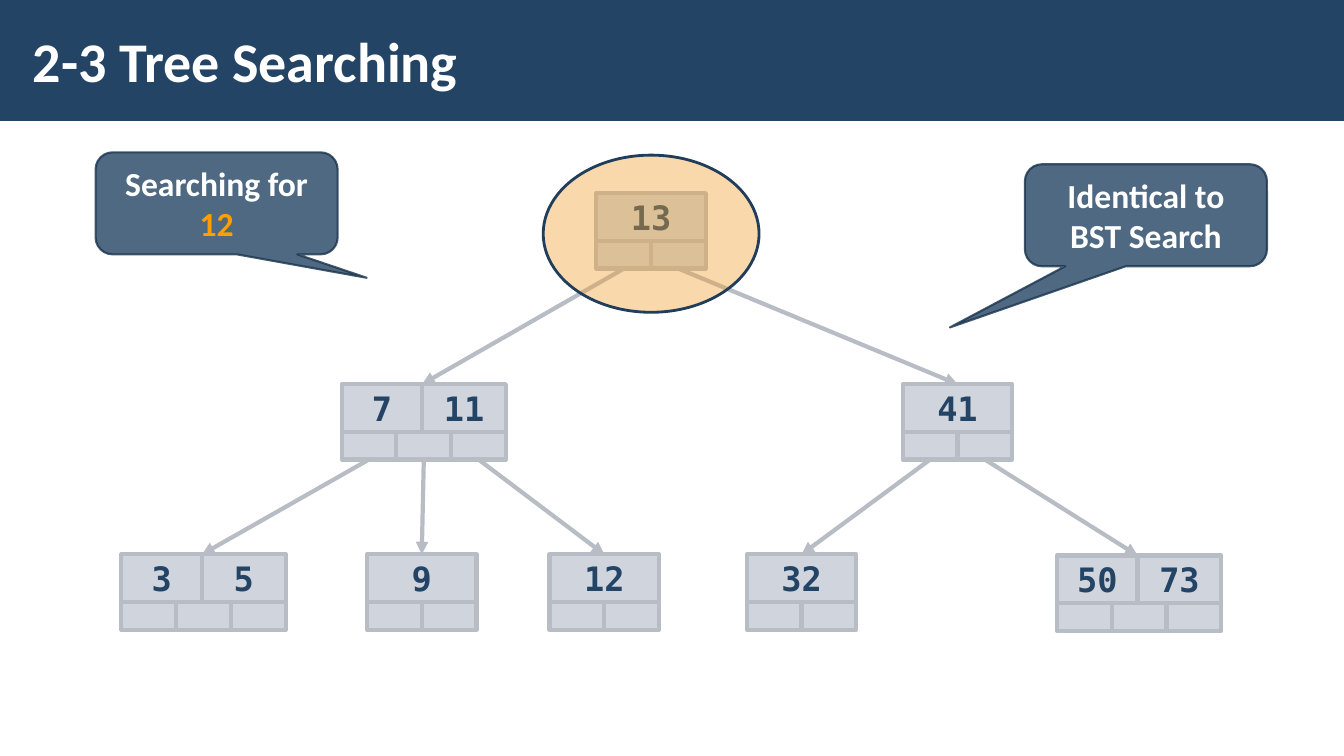
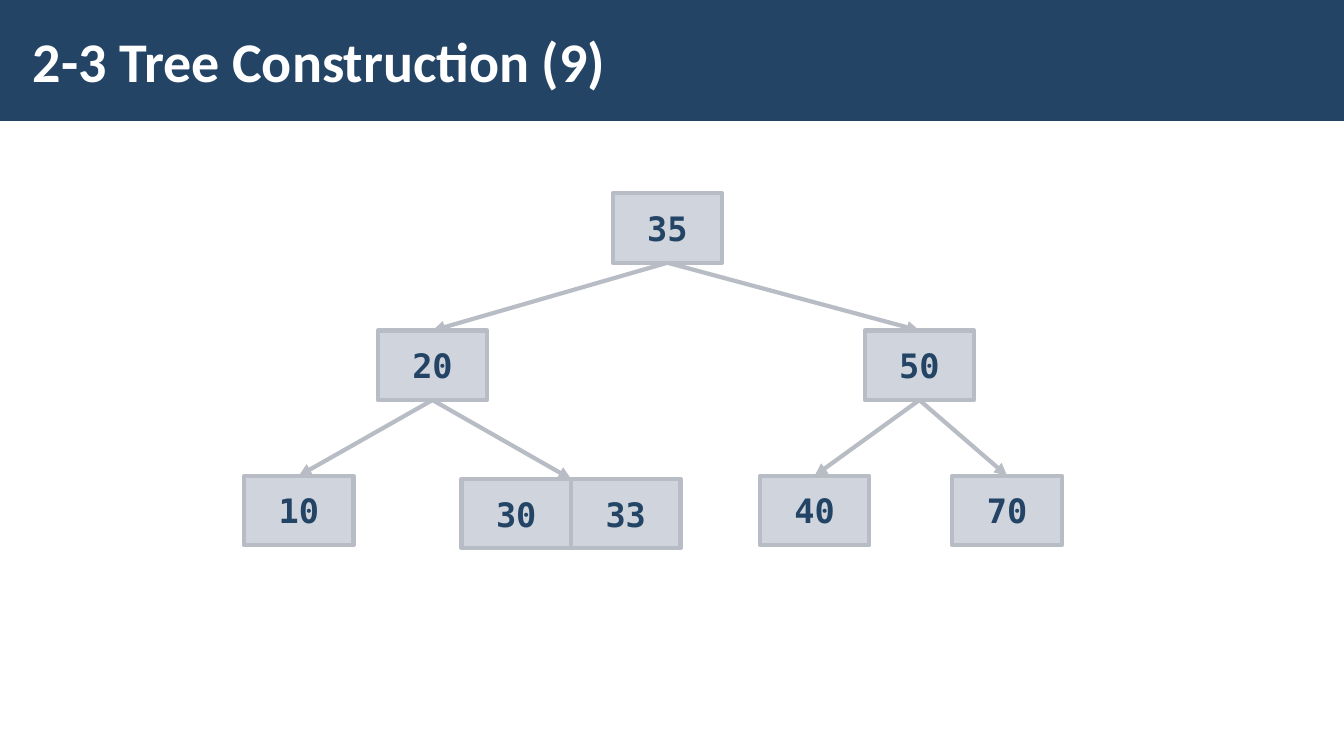
"""Build two slides on searching and constructing 2-3 trees."""
from lxml.etree import SubElement
from pptx import Presentation
from pptx.dml.color import RGBColor
from pptx.enum.shapes import MSO_CONNECTOR, MSO_SHAPE
from pptx.enum.text import MSO_ANCHOR, PP_ALIGN
from pptx.oxml.ns import qn
from pptx.util import Cm, Pt

NAVY = "234465"
DARK_NAVY = "1A334C"
ELLIPSE_LINE = "203D5B"
CELL_FILL = "A3ABBC"
CELL_LINE = "B8BCC4"
HIGHLIGHT = "F0A22E"
ORANGE = "FFA000"
WHITE = "FFFFFF"
TEXT_FONT = "Calibri"
KEY_FONT = "DejaVu Sans Mono"
SLOT_WIDTH = 1.38


def add_shape(slide, kind, box, fill, line, weight, opacity=(100, 100),
              texts=(), font=TEXT_FONT, wrap=True):
    """Add a filled, outlined shape; texts holds (text, colour) pairs."""
    shape = slide.shapes.add_shape(kind, *[Cm(length) for length in box])
    shape.shadow.inherit = False
    shape.fill.solid()
    shape.fill.fore_color.rgb = RGBColor.from_string(fill)
    shape.line.color.rgb = RGBColor.from_string(line)
    shape.line.width = Pt(weight)
    colors = list(shape.element.spPr.iter(qn("a:srgbClr")))
    for color, percent in zip(colors, opacity):
        SubElement(color, qn("a:alpha"), val=str(percent * 1000))
    text_frame = shape.text_frame
    text_frame.word_wrap = wrap
    text_frame.vertical_anchor = MSO_ANCHOR.MIDDLE
    paragraph = text_frame.paragraphs[0]
    paragraph.alignment = PP_ALIGN.CENTER
    for text, color in texts:
        run = paragraph.add_run()
        run.text = text
        run.font.name = font
        run.font.size = Pt(24)
        run.font.bold = True
        run.font.color.rgb = RGBColor.from_string(color)
    return shape


def add_arrow(slide, start, end):
    """Add a grey arrow between two points."""
    points = [Cm(length) for length in (*start, *end)]
    arrow = slide.shapes.add_connector(MSO_CONNECTOR.STRAIGHT, *points)
    arrow.line.color.rgb = RGBColor.from_string(CELL_LINE)
    arrow.line.width = Pt(3)
    SubElement(arrow.line._get_or_add_ln(), qn("a:tailEnd"), type="triangle")
    SubElement(arrow._element.spPr, qn("a:effectLst"))


presentation = Presentation()
presentation.slide_width = Cm(33.87)
presentation.slide_height = Cm(19.05)

layout = presentation.slide_layouts.get_by_name("Title Only")
layout_title = layout.placeholders[0]
layout_title.left, layout_title.top = Cm(0.53), Cm(0.28)
layout_title.width, layout_title.height = Cm(26.42), Cm(2.46)
title_frame = layout_title.text_frame
title_frame.vertical_anchor = MSO_ANCHOR.MIDDLE
title_frame.margin_left = title_frame.margin_right = Cm(0.3)
title_frame.margin_top = title_frame.margin_bottom = Cm(0.11)

search_nodes = {
    "13": (15.03, 4.87),
    "7 11": (8.61, 9.68),
    "41": (22.75, 9.68),
    "3 5": (3.06, 13.97),
    "9": (9.25, 13.97),
    "12": (13.85, 13.97),
    "32": (18.82, 13.97),
    "50 73": (26.64, 14),
}
search_children = {
    "13": ["7 11", "41"],
    "7 11": ["3 5", "9", "12"],
    "41": ["32", "50 73"],
}
construction_nodes = {
    "35": (15.44, 4.87),
    "20": (9.52, 8.33),
    "50": (21.79, 8.33),
    "10": (6.15, 11.99),
    "30 33": (11.63, 12.07),
    "40": (19.15, 11.99),
    "70": (24, 11.99),
}
construction_children = {
    "35": ["20", "50"],
    "20": ["10", "30 33"],
    "50": ["40", "70"],
}
trees = [
    ("2-3 Tree Searching", search_nodes, search_children,
     {1: [2.76], 2: [2.03, 2.11]}, 1.2, 0.7),
    ("2-3 Tree Construction (9)", construction_nodes, construction_children,
     {1: [2.76], 2: [2.76, 2.76]}, 1.75, 0),
]

for title, nodes, children, key_widths, key_height, slot_height in trees:
    slide = presentation.slides.add_slide(layout)
    slide.shapes.title.text_frame.text = title
    paragraph = slide.shapes.title.text_frame.paragraphs[0]
    paragraph.alignment = PP_ALIGN.LEFT
    title_font = paragraph.runs[0].font
    title_font.name = TEXT_FONT
    title_font.size = Pt(40)
    title_font.bold = True
    title_font.color.rgb = RGBColor.from_string(WHITE)

    for parent, names in children.items():
        left, top = nodes[parent]
        for index, child in enumerate(names):
            offset = SLOT_WIDTH * (index + 0.5) if slot_height else SLOT_WIDTH
            child_left, child_top = nodes[child]
            widths = key_widths[len(child.split())]
            child_middle = widths[0] if len(widths) == 2 else widths[0] / 2
            add_arrow(slide, (left + offset, top + key_height + slot_height),
                      (child_left + child_middle, child_top))

    for name, (left, top) in nodes.items():
        keys = name.split()
        cells = []
        key_left = left
        for key, width in zip(keys, key_widths[len(keys)]):
            cells.append(((key_left, top, width, key_height), [(key, NAVY)]))
            key_left += width
        if slot_height:
            for index in range(len(keys) + 1):
                slot_left = left + index * SLOT_WIDTH
                cells.append(((slot_left, top + key_height, SLOT_WIDTH, slot_height), []))
        for box, texts in cells:
            add_shape(slide, MSO_SHAPE.RECTANGLE, box, CELL_FILL, CELL_LINE, 3,
                      (50, 100), texts, KEY_FONT, False)

search_slide = presentation.slides[0]
callouts = [
    ((2.41, 3.84, 6.1, 2.57), (0.62, 0.73),
     [("Searching for ", WHITE), ("12", ORANGE)]),
    ((25.83, 4.14, 6.1, 2.57), (-0.81, 1.1),
     [("Identical to BST Search", WHITE)]),
]
for box, pointer, texts in callouts:
    callout = add_shape(search_slide, MSO_SHAPE.ROUNDED_RECTANGULAR_CALLOUT, box,
                        NAVY, DARK_NAVY, 1.5, (80, 80), texts)
    callout.adjustments[0], callout.adjustments[1] = pointer
add_shape(search_slide, MSO_SHAPE.OVAL, (13.69, 3.91, 5.44, 3.96),
          HIGHLIGHT, ELLIPSE_LINE, 2, (40, 100))

band = add_shape(search_slide, MSO_SHAPE.RECTANGLE, (0, 0, 33.87, 3.05), NAVY, NAVY, 1)
band.line.fill.background()
layout.shapes.element.insert(2, band.element)

presentation.save("out.pptx")
